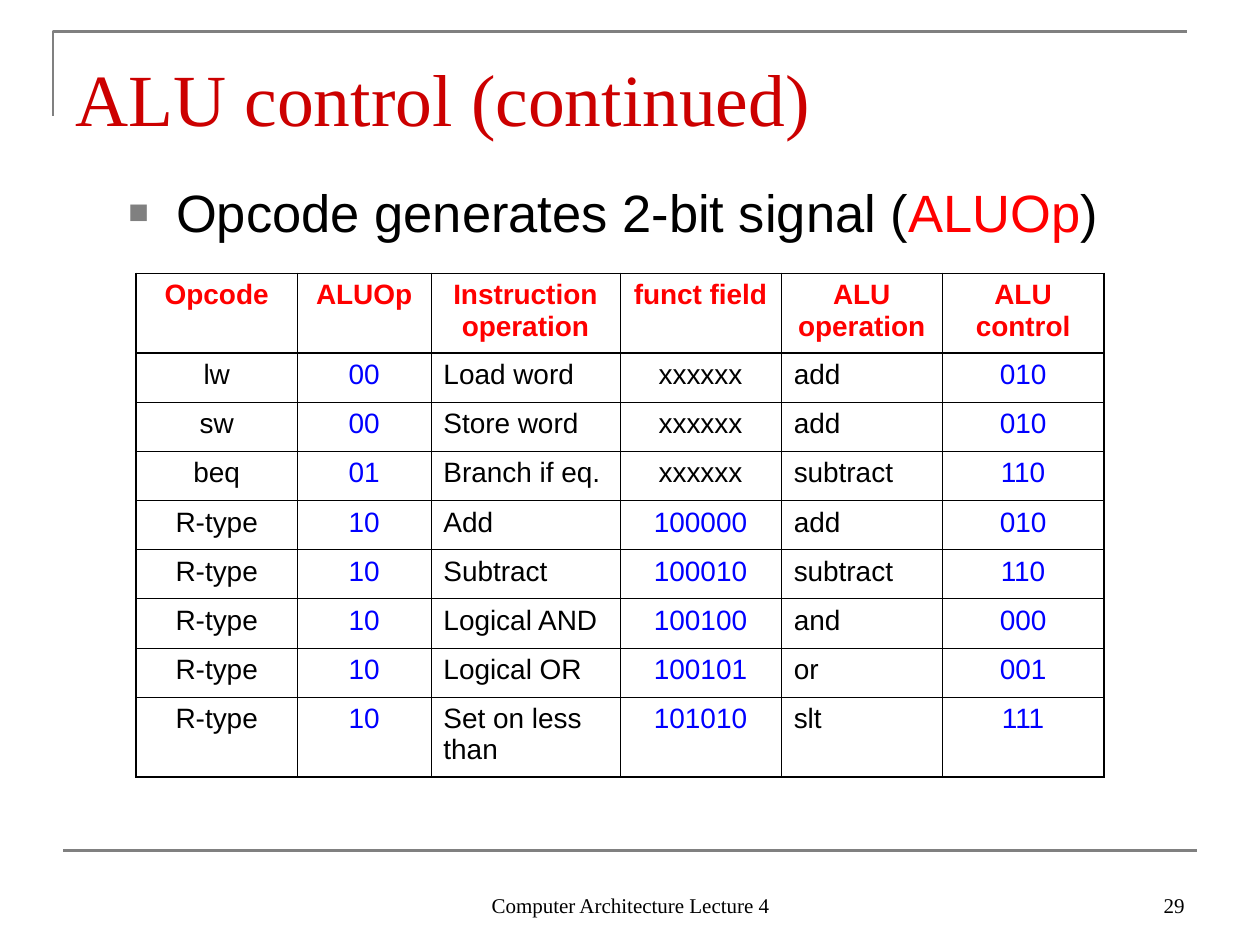
from dataclasses import dataclass

from lxml.etree import SubElement
from pptx import Presentation
from pptx.dml.color import RGBColor
from pptx.enum.shapes import MSO_CONNECTOR
from pptx.enum.text import MSO_ANCHOR, PP_ALIGN
from pptx.oxml.ns import qn
from pptx.util import Inches, Pt

BLACK = RGBColor(0x00, 0x00, 0x00)
GRAY = RGBColor(0x80, 0x80, 0x80)
TITLE_RED = RGBColor(0xCC, 0x00, 0x00)
RED = RGBColor(0xFF, 0x00, 0x00)
BLUE = RGBColor(0x00, 0x00, 0xFF)

SERIF, SANS = "Times New Roman", "Arial"
THIN, THICK = Pt(0.45), Pt(1.08)

COLUMN_WIDTHS = (1.28, 1.06, 1.5, 1.28, 1.28, 1.28)
TALL_ROW, ROW = 0.63, 0.39
LEFT_ALIGNED_COLUMNS = (2, 4)
HEADER = ("Opcode", "ALUOp", "Instruction operation", "funct field",
          "ALU operation", "ALU control")
INSTRUCTIONS = (
    ("lw", "00", "Load word", "xxxxxx", "add", "010"),
    ("sw", "00", "Store word", "xxxxxx", "add", "010"),
    ("beq", "01", "Branch if eq.", "xxxxxx", "subtract", "110"),
    ("R-type", "10", "Add", "100000", "add", "010"),
    ("R-type", "10", "Subtract", "100010", "subtract", "110"),
    ("R-type", "10", "Logical AND", "100100", "and", "000"),
    ("R-type", "10", "Logical OR", "100101", "or", "001"),
    ("R-type", "10", "Set on less than", "101010", "slt", "111"),
)


@dataclass
class Run:
    text: str
    color: RGBColor = BLACK


@dataclass
class TextBlock:
    left: float
    top: float
    width: float
    height: float
    runs: tuple
    font: str
    size: float
    align: PP_ALIGN = PP_ALIGN.LEFT
    anchor: MSO_ANCHOR = MSO_ANCHOR.TOP
    top_inset: float = 0.05


def add_run(paragraph, run: Run, font: str, size: float, bold: bool = False) -> None:
    part = paragraph.add_run()
    part.text = run.text
    for name, value in {"name": font, "size": Pt(size), "bold": bold}.items():
        setattr(part.font, name, value)
    part.font.color.rgb = run.color


def add_text(slide, block: TextBlock):
    box = slide.shapes.add_textbox(Inches(block.left), Inches(block.top),
                                   Inches(block.width), Inches(block.height))
    frame_format = {"word_wrap": True, "vertical_anchor": block.anchor,
                    "margin_top": Inches(block.top_inset)}
    for name, value in frame_format.items():
        setattr(box.text_frame, name, value)
    paragraph = box.text_frame.paragraphs[0]
    paragraph.alignment = block.align
    for run in block.runs:
        add_run(paragraph, run, block.font, block.size)
    return paragraph


def add_square_bullet(paragraph, indent: float) -> None:
    properties = paragraph._p.get_or_add_pPr()
    properties.set("marL", str(Inches(indent)))
    properties.set("indent", str(-Inches(indent)))
    color = SubElement(properties, qn("a:buClr"))
    SubElement(color, qn("a:srgbClr"), val=str(GRAY))
    SubElement(properties, qn("a:buSzPct"), val="65000")
    SubElement(properties, qn("a:buFont"), typeface=SANS)
    SubElement(properties, qn("a:buChar"), char="■")


def set_borders(cell, widths: dict) -> None:
    properties = cell._tc.get_or_add_tcPr()
    for side, width in widths.items():
        line = SubElement(properties, qn(f"a:ln{side}"), w=str(int(width)))
        fill = SubElement(line, qn("a:solidFill"))
        SubElement(fill, qn("a:srgbClr"), val=str(BLACK))


def fill_cell(cell, text: str, row: int, column: int) -> None:
    last_row, last_column = len(INSTRUCTIONS), len(HEADER) - 1
    is_header = row == 0
    set_borders(cell, {
        "L": THICK if column == 0 else THIN,
        "R": THICK if column == last_column else THIN,
        "T": THICK if row <= 1 else THIN,
        "B": THICK if row in (0, last_row) else THIN,
    })
    cell.fill.background()
    paragraph = cell.text_frame.paragraphs[0]
    left_aligned = column in LEFT_ALIGNED_COLUMNS and not is_header
    paragraph.alignment = PP_ALIGN.LEFT if left_aligned else PP_ALIGN.CENTER
    color = RED if is_header else BLUE if text.isdigit() else BLACK
    add_run(paragraph, Run(text, color), SANS, 16, bold=is_header)


def add_control_table(slide) -> None:
    rows = (HEADER, *INSTRUCTIONS)
    heights = (TALL_ROW, *[ROW] * (len(rows) - 2), TALL_ROW)
    table = slide.shapes.add_table(
        len(rows), len(HEADER), Inches(1.08), Inches(2.17),
        Inches(sum(COLUMN_WIDTHS)), Inches(sum(heights))).table
    for name in ("first_row", "horz_banding"):
        setattr(table, name, False)
    for column, width in zip(table.columns, COLUMN_WIDTHS):
        column.width = Inches(width)
    for r, (height, texts) in enumerate(zip(heights, rows)):
        table.rows[r].height = Inches(height)
        for c, text in enumerate(texts):
            fill_cell(table.cell(r, c), text, r, c)


def add_frame_lines(slide) -> None:
    # Corner bracket around the title
    builder = slide.shapes.build_freeform(Inches(0.42), Inches(0.92))
    builder.add_line_segments([(Inches(0.42), Inches(0.25)),
                               (Inches(9.42), Inches(0.25))], close=False)
    bracket = builder.convert_to_shape()
    bracket.shadow.inherit = False
    bracket.fill.background()

    # Rule above the footer
    rule = slide.shapes.add_connector(MSO_CONNECTOR.STRAIGHT, Inches(0.5),
                                      Inches(6.75), Inches(9.5), Inches(6.75))
    for shape in (bracket, rule):
        shape.line.color.rgb = GRAY
        shape.line.width = Pt(1.5)
    SubElement(rule._element.spPr, qn("a:effectLst"))


def main() -> None:
    presentation = Presentation()
    presentation.slide_width, presentation.slide_height = Inches(10), Inches(7.5)
    slide = presentation.slides.add_slide(presentation.slide_layouts[6])
    add_frame_lines(slide)

    # Footer and page number
    add_text(slide, TextBlock(3.42, 6.83, 3.17, 0.5,
                              (Run("Computer Architecture Lecture 4"),), SERIF, 12,
                              PP_ALIGN.CENTER, MSO_ANCHOR.BOTTOM))
    add_text(slide, TextBlock(7.17, 6.83, 2.33, 0.5, (Run("29"),), SERIF, 12,
                              PP_ALIGN.RIGHT, MSO_ANCHOR.BOTTOM))

    # Title and bullet
    add_text(slide, TextBlock(0.5, 0.3, 9, 0.78,
                              (Run("ALU control (continued)", TITLE_RED),),
                              SERIF, 42, top_inset=0.12))
    signal = add_text(slide, TextBlock(
        0.92, 1.33, 8.58, 0.67,
        (Run("Opcode generates 2-bit signal ("), Run("ALUOp", RED), Run(")")),
        SANS, 30, top_inset=0.1))
    add_square_bullet(signal, 0.38)

    add_control_table(slide)
    presentation.save("out.pptx")


if __name__ == "__main__":
    main()
